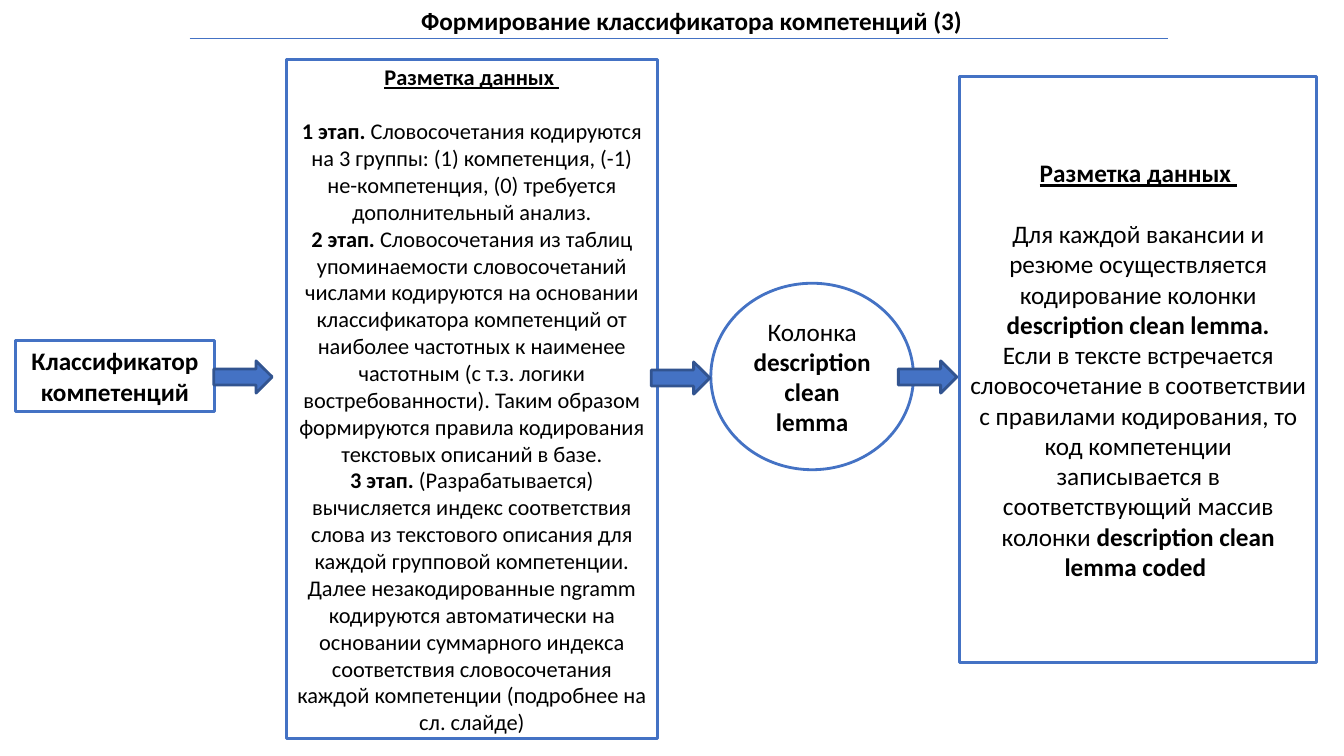
from lxml import etree
from pptx import Presentation
from pptx.dml.color import RGBColor
from pptx.enum import shapes, text
from pptx.oxml.ns import qn
from pptx.util import Inches, Pt

COLORS = {"text": "000000", "fill": "FFFFFF", "accent": "4472C4", "arrow_line": "325490"}
FONT = "Calibri"
RECTANGLE = shapes.MSO_SHAPE.RECTANGLE
OVAL = shapes.MSO_SHAPE.OVAL
TOP = text.MSO_ANCHOR.TOP
MIDDLE = text.MSO_ANCHOR.MIDDLE

TITLE = "Формирование классификатора компетенций (3)"
HEADING = [("Разметка данных ", "heading")]
CLASSIFIER = [[("Классификатор компетенций", "bold")]]
STAGES = [
    HEADING,
    [("1 этап. ", "bold"),
     ("Словосочетания кодируются на 3 группы: (1) компетенция, (-1) не-компетенция, "
      "(0) требуется дополнительный анализ.", "plain")],
    [("2 этап. ", "bold"),
     ("Словосочетания из таблиц упоминаемости словосочетаний числами кодируются на основании "
      "классификатора компетенций от наиболее частотных к наименее частотным (с т.з. логики "
      "востребованности). Таким образом формируются правила кодирования текстовых описаний "
      "в базе.", "plain")],
    [("3 этап. ", "bold"),
     ("(Разрабатывается) вычисляется индекс соответствия слова из текстового описания для "
      "каждой групповой компетенции. Далее незакодированные ngramm кодируются автоматически на "
      "основании суммарного индекса соответствия словосочетания каждой компетенции "
      "(подробнее на сл. слайде)", "plain")],
]
COLUMN = [[("Колонка ", "plain"), ("description clean lemma", "bold")]]
CODING = [
    HEADING,
    [("Для каждой вакансии и резюме осуществляется кодирование колонки ", "plain"),
     ("description clean lemma.", "bold")],
    [("Если в тексте встречается словосочетание в соответствии с правилами кодирования, то код "
      "компетенции записывается в соответствующий массив колонки ", "plain"),
     ("description clean lemma coded ", "bold")],
]
BLOCKS = [
    (RECTANGLE, (0.15, 3.38, 1.98, 0.7), TOP, 18, CLASSIFIER),
    (RECTANGLE, (2.84, 0.59, 3.68, 6.74), MIDDLE, 16, STAGES),
    (OVAL, (7.05, 2.81, 2.01, 1.85), MIDDLE, 18, COLUMN),
    (RECTANGLE, (9.52, 0.76, 3.54, 5.81), MIDDLE, 18, CODING),
]
ARROWS = [(2.12, 3.58), (6.46, 3.59), (8.91, 3.58)]
ARROW_SIZE = (0.58, 0.32)


def color(name):
    return RGBColor.from_string(COLORS[name])


def format_run(run, size, style):
    run.font.name = FONT
    run.font.size = Pt(size)
    run.font.color.rgb = color("text")
    run.font.bold = style != "plain"
    run.font.underline = style == "heading"


def add_figure(slide, kind, box, fill, line):
    shape = slide.shapes.add_shape(kind, *map(Inches, box))
    shape.shadow.inherit = False
    shape.fill.solid()
    shape.fill.fore_color.rgb = color(fill)
    shape.line.color.rgb = color(line)
    shape.line.width = Pt(2)
    return shape


def write_block(frame, paragraphs, size, anchor):
    frame.word_wrap = True
    frame.vertical_anchor = anchor
    for index, runs in enumerate(paragraphs):
        paragraph = frame.add_paragraph() if index else frame.paragraphs[0]
        paragraph.alignment = text.PP_ALIGN.CENTER
        if runs is HEADING:
            paragraph.space_after = Pt(size * 1.22)
        for words, style in runs:
            run = paragraph.add_run()
            run.text = words
            format_run(run, size, style)


def add_title(slide):
    title = slide.shapes.title
    title.left, title.top, title.width, title.height = map(Inches, (2.26, 0, 9.2, 0.4))
    title.text_frame.auto_size = text.MSO_AUTO_SIZE.NONE
    write_block(title.text_frame, [[(TITLE, "bold")]], 18, TOP)
    rule = slide.shapes.add_connector(
        shapes.MSO_CONNECTOR.STRAIGHT, *map(Inches, (1.88, 0.38, 11.58, 0.38)))
    rule.line.color.rgb = color("accent")
    rule.line.width = Pt(0.75)
    etree.SubElement(rule._element.spPr, qn("a:effectLst"))


def main():
    presentation = Presentation()
    presentation.slide_width = Inches(13.33)
    presentation.slide_height = Inches(7.5)
    slide = presentation.slides.add_slide(presentation.slide_layouts[5])
    add_title(slide)
    for kind, box, anchor, size, paragraphs in BLOCKS:
        shape = add_figure(slide, kind, box, "fill", "accent")
        write_block(shape.text_frame, paragraphs, size, anchor)
    for position in ARROWS:
        add_figure(slide, shapes.MSO_SHAPE.RIGHT_ARROW, position + ARROW_SIZE,
                   "accent", "arrow_line")
    presentation.save("out.pptx")


if __name__ == "__main__":
    main()
